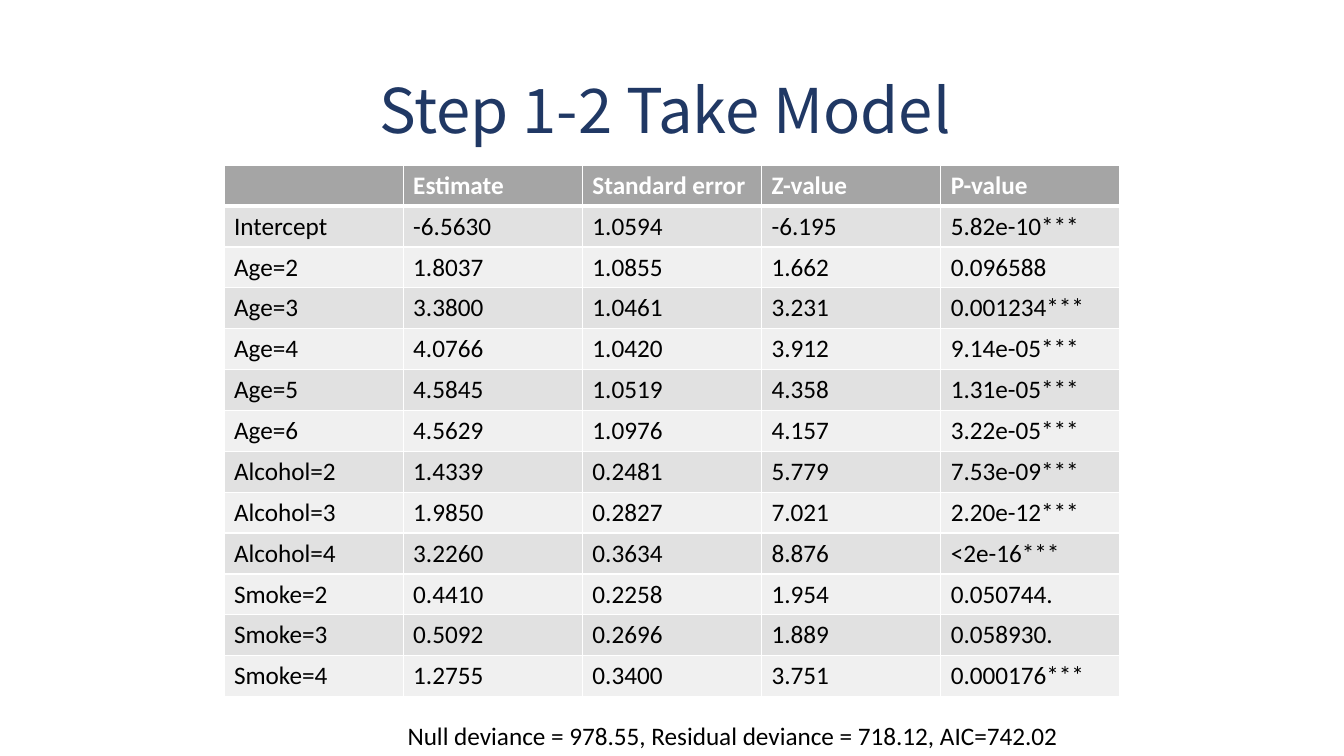
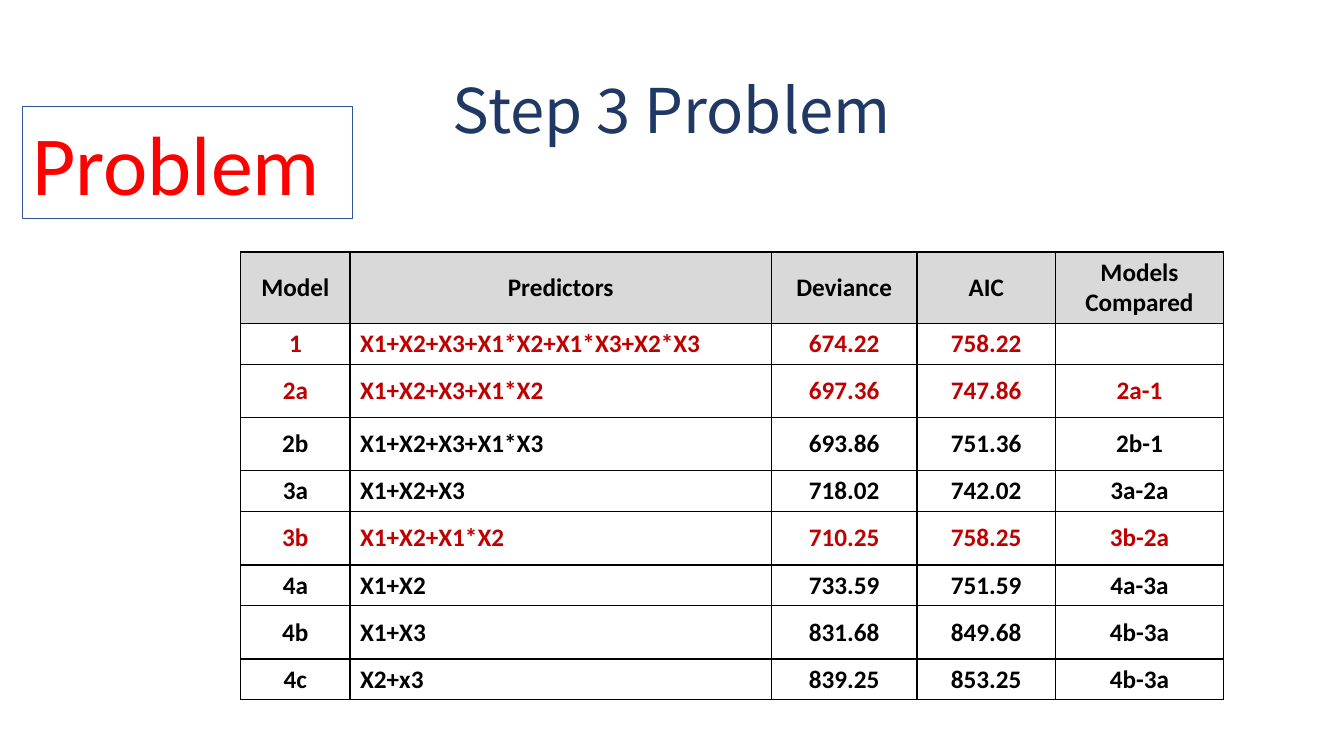
from lxml.etree import SubElement
from pptx import Presentation
from pptx.dml.color import RGBColor
from pptx.enum.shapes import MSO_SHAPE
from pptx.enum.text import MSO_ANCHOR, MSO_AUTO_SIZE, PP_ALIGN
from pptx.oxml.ns import qn
from pptx.util import Pt

NAVY = RGBColor(0x20, 0x38, 0x64)
BLUE = RGBColor(0x2F, 0x55, 0x97)
BLACK = RGBColor(0, 0, 0)
WHITE = RGBColor(0xFF, 0xFF, 0xFF)
RED = RGBColor(0xFF, 0, 0)
DARK_RED = RGBColor(0xC0, 0, 0)
GRAY = RGBColor(0xA5, 0xA5, 0xA5)
SILVER = RGBColor(0xD9, 0xD9, 0xD9)
BANDS = [RGBColor(0xF0, 0xF0, 0xF0), RGBColor(0xE1, 0xE1, 0xE1)]
TITLE_FONT = "Noto Sans CJK SC"
BODY_FONT = "Calibri"

TITLES = ["Step 1-2 Take Model ", "Step 3 Problem"]

TERMS = [
    ["", "Estimate", "Standard error", "Z-value", "P-value"],
    ["Intercept", "-6.5630", "1.0594", "-6.195", "5.82e-10***"],
    ["Age=2", "1.8037", "1.0855", "1.662", "0.096588"],
    ["Age=3", "3.3800", "1.0461", "3.231", "0.001234***"],
    ["Age=4", "4.0766", "1.0420", "3.912", "9.14e-05***"],
    ["Age=5", "4.5845", "1.0519", "4.358", "1.31e-05***"],
    ["Age=6", "4.5629", "1.0976", "4.157", "3.22e-05***"],
    ["Alcohol=2", "1.4339", "0.2481", "5.779", "7.53e-09***"],
    ["Alcohol=3", "1.9850", "0.2827", "7.021", "2.20e-12***"],
    ["Alcohol=4", "3.2260", "0.3634", "8.876", "<2e-16***"],
    ["Smoke=2", "0.4410", "0.2258", "1.954", "0.050744."],
    ["Smoke=3", "0.5092", "0.2696", "1.889", "0.058930."],
    ["Smoke=4", "1.2755", "0.3400", "3.751", "0.000176***"],
]

MODELS = [
    ["Model", "Predictors", "Deviance", "AIC", "Models Compared"],
    ["1", "X1+X2+X3+X1*X2+X1*X3+X2*X3", "674.22", "758.22", ""],
    ["2a", "X1+X2+X3+X1*X2", "697.36", "747.86", "2a-1"],
    ["2b", "X1+X2+X3+X1*X3", "693.86", "751.36", "2b-1"],
    ["3a", "X1+X2+X3", "718.02", "742.02", "3a-2a"],
    ["3b", "X1+X2+X1*X2", "710.25", "758.25", "3b-2a"],
    ["4a", "X1+X2", "733.59", "751.59", "4a-3a"],
    ["4b", "X1+X3", "831.68", "849.68", "4b-3a"],
    ["4c", "X2+x3", "839.25", "853.25", "4b-3a"],
]
MARKED = {"1", "2a", "3b"}

deck = Presentation()
deck.slide_width = Pt(960)
deck.slide_height = Pt(540)
COL = deck.slide_width // 960
ROW = deck.slide_height // 540


def write(par, text, size=18, color=BLACK, bold=False, font=BODY_FONT):
    run = par.add_run()
    run.text = text
    run.font.size = Pt(size)
    run.font.color.rgb = color
    run.font.bold = bold
    run.font.name = font


def add_grid(slide, left, top, wides, highs, data, line, style):
    """Add a table; style(row, col) gives fill, ink, bold and alignment.

    White rules get a thicker one below the header.
    """
    frame = slide.shapes.add_table(len(highs), len(wides), left * COL, top * ROW,
                                   sum(wides) * COL, sum(highs) * ROW)
    table = frame.table
    table.first_row = table.horz_banding = False
    for col, wide in zip(table.columns, wides):
        col.width = wide * COL
    for r, high in enumerate(highs):
        table.rows[r].height = high * ROW
        for c, text in enumerate(data[r]):
            cell = table.cell(r, c)
            props = cell._tc.get_or_add_tcPr()
            for side in ("lnL", "lnR", "lnT", "lnB"):
                thick = line == WHITE and (r, side) in ((0, "lnB"), (1, "lnT"))
                edge = SubElement(props, qn("a:" + side), w=str(Pt(3 if thick else 1)))
                paint = SubElement(edge, qn("a:solidFill"))
                SubElement(paint, qn("a:srgbClr"), val=str(line))
            fill, ink, bold, align = style(r, c)
            cell.fill.solid()
            cell.fill.fore_color.rgb = fill
            cell.vertical_anchor = MSO_ANCHOR.MIDDLE
            par = cell.text_frame.paragraphs[0]
            par.alignment = align
            if text:
                write(par, text, color=ink, bold=bold)


slides = []
for text in TITLES:
    slide = deck.slides.add_slide(deck.slide_layouts[5])
    title = slide.shapes.title
    title.left, title.top = 66 * COL, 29 * ROW
    title.width, title.height = 828 * COL, 104 * ROW
    frame = title.text_frame
    frame.auto_size = MSO_AUTO_SIZE.NONE
    frame.vertical_anchor = MSO_ANCHOR.MIDDLE
    par = frame.paragraphs[0]
    par.alignment = PP_ALIGN.CENTER
    par.line_spacing = 0.9
    write(par, text, 44, NAVY, font=TITLE_FONT)
    slides.append(slide)
take, problem = slides

# Fitted model
add_grid(take, 160, 118, [128] * 5, [29] * len(TERMS), TERMS, WHITE,
         lambda r, c: (BANDS[r % 2] if r else GRAY, BLACK if r else WHITE,
                       r == 0, PP_ALIGN.LEFT))
note = take.shapes.add_textbox(284 * COL, 511 * ROW, 489 * COL, 29 * ROW)
note.text_frame.word_wrap = True
write(note.text_frame.paragraphs[0],
      "Null deviance = 978.55, Residual deviance = 718.12, AIC=742.02")

# Model comparison
label = problem.shapes.add_shape(MSO_SHAPE.RECTANGLE, 16 * COL, 76 * ROW,
                                 236 * COL, 80 * ROW)
label.shadow.inherit = False
label.fill.background()
label.line.color.rgb = BLUE
label.line.width = Pt(0.75)
label.text_frame.word_wrap = True
label.text_frame.vertical_anchor = MSO_ANCHOR.TOP
par = label.text_frame.paragraphs[0]
par.alignment = PP_ALIGN.LEFT
write(par, "Problem", 60, RED)

add_grid(problem, 172, 180, [78, 301, 104, 99, 120],
         [51, 29, 38, 38, 29, 38, 29, 38, 29], MODELS, BLACK,
         lambda r, c: (WHITE if r else SILVER,
                       DARK_RED if MODELS[r][0] in MARKED else BLACK, True,
                       PP_ALIGN.LEFT if r and c == 1 else PP_ALIGN.CENTER))

deck.save("out.pptx")
